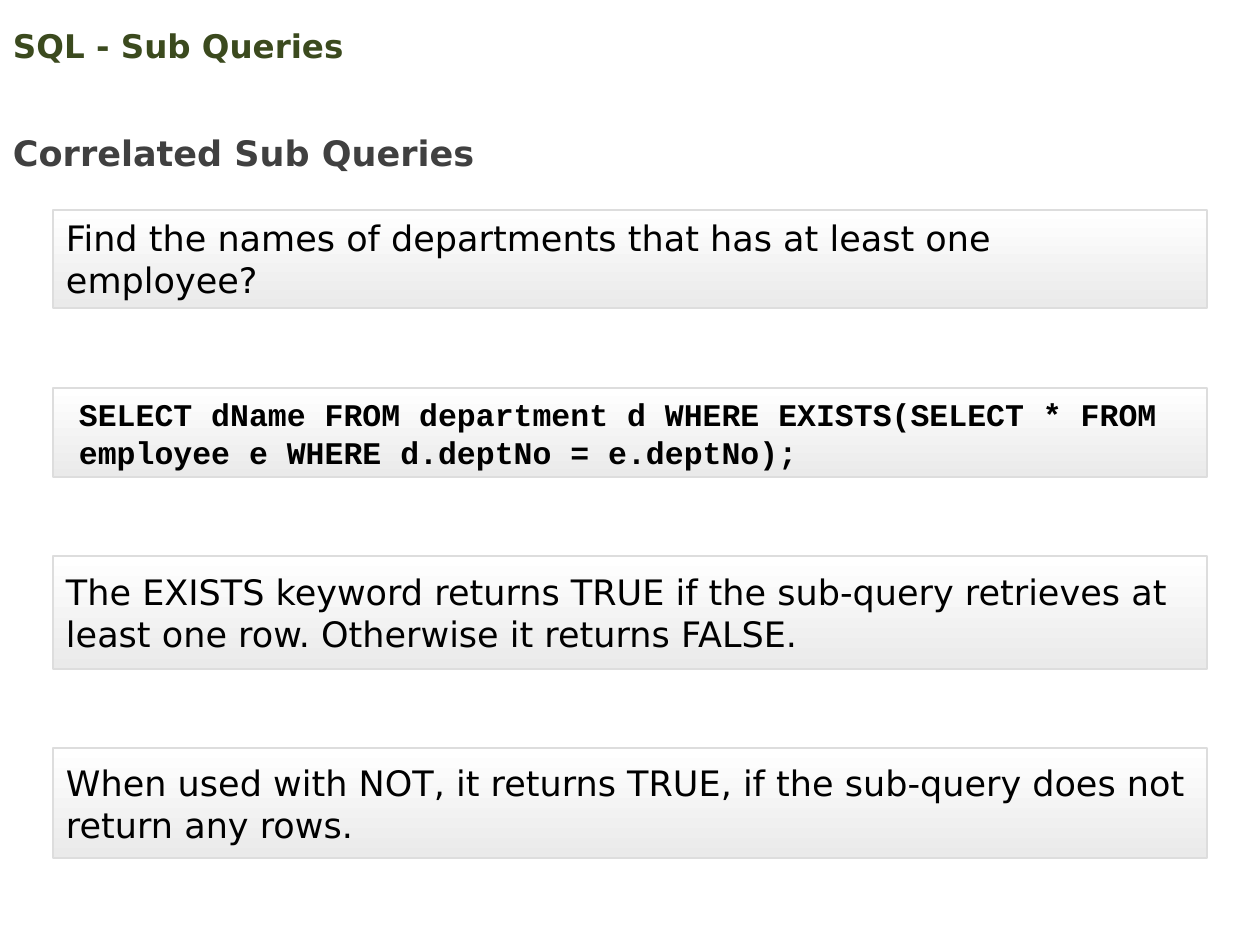
from pptx import Presentation
from pptx.dml.color import RGBColor as RGB
from pptx.enum.shapes import MSO_SHAPE as SHAPE
from pptx.enum.text import MSO_ANCHOR as ANCHOR, PP_ALIGN as ALIGN
from pptx.util import Pt

PX = 914400 / 126  # EMU per pixel
COLORS = {
    "title": "3B4A1E", "heading": "404040", "text": "000000",
    "panel_top": "FFFFFF", "panel_bottom": "EAEAEA", "border": "DDDDDD",
}
SANS, MONO = "DejaVu Sans", "Courier New"
PANEL_LEFT, PANEL_WIDTH = 53, 1154


def emu(*lengths):
    return [round(length * PX) for length in lengths]


def write(box, text, size, color, font=SANS, bold=False, anchor=ANCHOR.MIDDLE, inset=6):
    frame = box.text_frame
    frame.word_wrap = True
    frame.vertical_anchor = anchor
    frame.margin_left, frame.margin_right = emu(13, 13)
    frame.margin_top, frame.margin_bottom = emu(inset, inset)
    para = frame.paragraphs[0]
    para.alignment = ALIGN.LEFT
    span = para.add_run()
    span.text = text
    span.font.name = font
    span.font.size = Pt(size)
    span.font.bold = bold
    span.font.color.rgb = RGB.from_string(COLORS[color])
    return para


deck = Presentation()
deck.slide_width, deck.slide_height = emu(1260, 945)
page = deck.slides.add_slide(deck.slide_layouts[6])
shapes = page.shapes

# Title and heading
title = shapes.add_textbox(*emu(0, 18, 1134, 54))
write(title, "SQL - Sub Queries", 18.6, "title", bold=True)
heading = shapes.add_textbox(*emu(0, 105, 893, 76))
para = write(heading, "Correlated Sub Queries", 20, "heading", bold=True, anchor=ANCHOR.TOP)
para.line_spacing = 1.5

# Shaded panels: top, height, text (the query has its own text box)
panels = [
    (210, 98, "Find the names of departments that has at least one employee?"),
    (388, 89, None),
    (556, 113, "The EXISTS keyword returns TRUE if the sub-query retrieves at "
               "least one row. Otherwise it returns FALSE."),
    (748, 110, "When used with NOT, it returns TRUE, if the sub-query does not "
               "return any rows."),
]
for top, height, text in panels:
    panel = shapes.add_shape(SHAPE.RECTANGLE, *emu(PANEL_LEFT, top, PANEL_WIDTH, height))
    panel.shadow.inherit = False
    panel.fill.gradient()
    panel.fill.gradient_angle = 270
    for stop, shade, position in zip(panel.fill.gradient_stops, ("panel_top", "panel_bottom"), (0, 1)):
        stop.color.rgb = RGB.from_string(COLORS[shade])
        stop.position = position
    panel.line.color.rgb = RGB.from_string(COLORS["border"])
    panel.line.width = Pt(1)
    if text:
        write(panel, text, 20, "text", inset=0)

# Query on the second panel
query = shapes.add_textbox(*emu(66, 389, 1110, 88))
write(query, "SELECT dName FROM department d WHERE EXISTS(SELECT * FROM "
             "employee e WHERE d.deptNo = e.deptNo);",
      18, "text", font=MONO, bold=True, anchor=ANCHOR.TOP)

deck.save("out.pptx")
